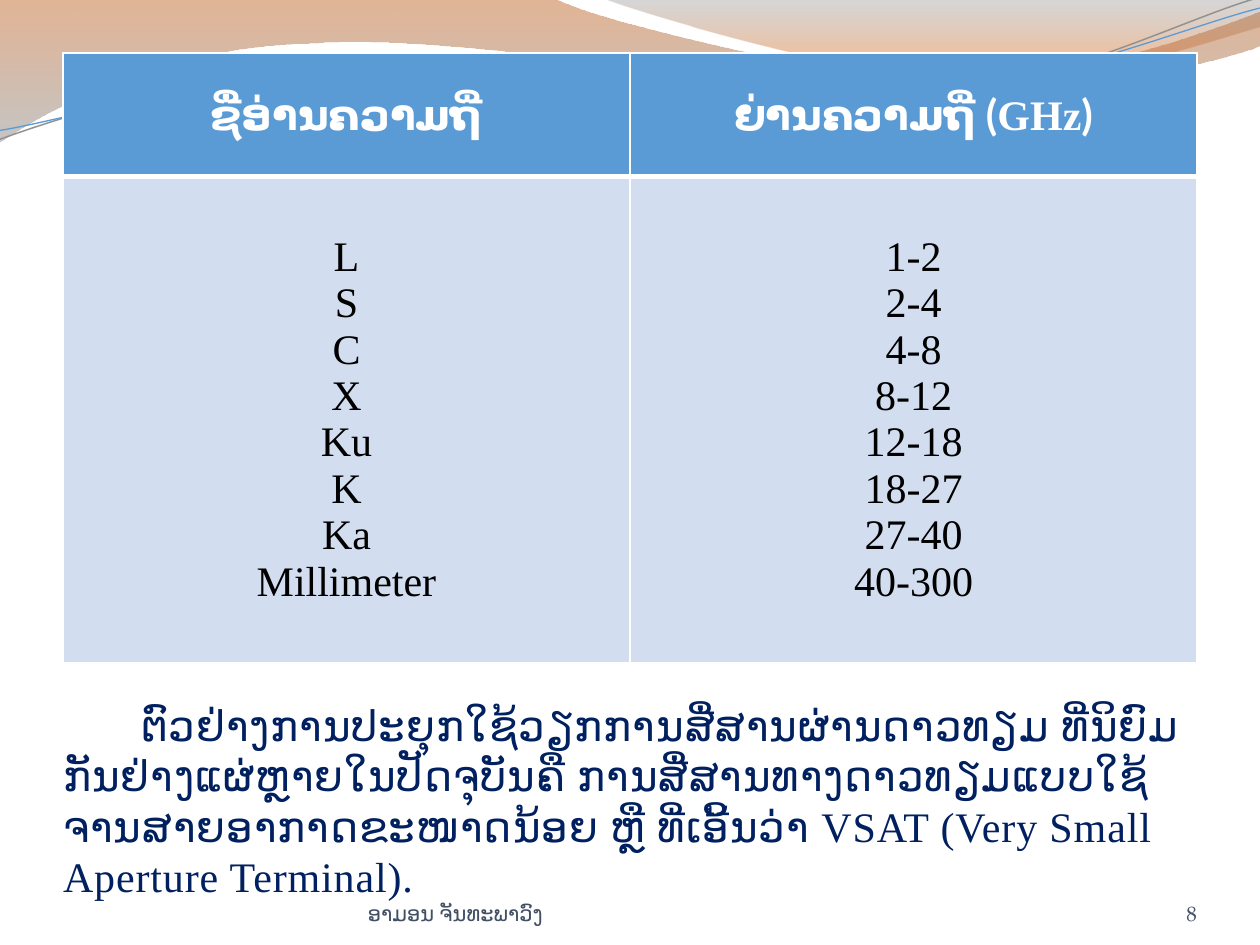
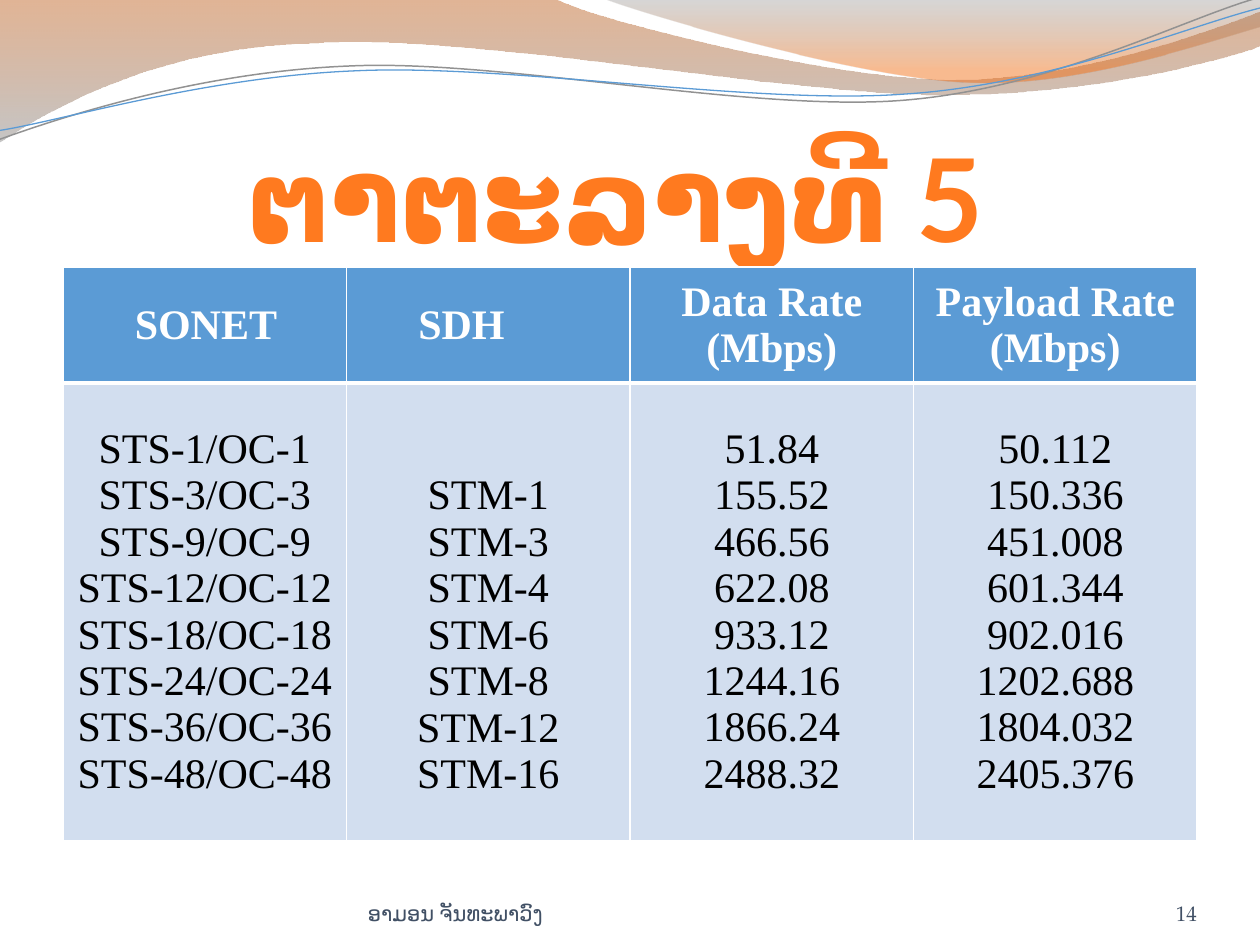
"""Builds two satellite and SONET reference slides with a shared wave banner."""
from lxml.etree import SubElement
from pptx import Presentation
from pptx.dml.color import RGBColor
from pptx.enum.text import MSO_ANCHOR as Anchor, MSO_AUTO_SIZE as AutoSize, PP_ALIGN as Align
from pptx.oxml.ns import qn
from pptx.util import Inches, Pt

COLORS = {
    "blue": "5B9BD5", "pale": "D2DEEF", "white": "FFFFFF", "black": "000000",
    "navy": "002060", "slate": "415065", "rust": "BD5A16", "silver": "969696",
    "gray": "7A7A7A", "orange": "F2680A", "wire": "929292",
    "flame": "FF7A1F", "ember": "CA5200",
}
LAO, LATIN, FOOTER = "Lato", "Times New Roman", "TeX Gyre Pagella"
AUTHOR = "ອາມອນ ຈັນທະພາວົງ"
TITLE_FLAME = [(25, "flame", 100), (100, "ember", 100)]
WIRE_TILT = 357.3

BANDS = [
    ([(0, 0), (4.4, -0.01),
      (4.76, 0.17, 6.64, 0.63, 7.58, 0.63), (8.53, 0.63, 9.58, 0.26, 10, 0.09),
      (10.01, 0.36),
      (9.83, 0.44, 8.7, 0.76, 7.46, 0.75), (6.22, 0.75, 3.82, 0.28, 2.57, 0.34),
      (1.29, 0.36, 0.46, 0.83, -0.01, 1.13)],
     [(0, "rust", 45), (100, "silver", 55)]),
    ([(4.79, -0.01),
      (5.09, 0.11, 6.82, 0.62, 7.69, 0.65), (8.56, 0.69, 9.61, 0.32, 10, 0.21),
      (10, 0)],
     [(0, "gray", 30), (80, "orange", 45)]),
]
WIRES = [
    ([(-0.02, 0.87),
      (0.47, 0.72, 1.58, 0.41, 2.78, 0.42), (3.96, 0.42, 5.91, 0.93, 7.12, 0.9),
      (8.32, 0.87, 9.4, 0.36, 10, 0.22)], "wire", 0.85),
    ([(-0.02, 0.8),
      (0.46, 0.75, 1.64, 0.45, 2.83, 0.46), (4.03, 0.46, 5.96, 0.88, 7.16, 0.85),
      (8.35, 0.83, 9.42, 0.42, 10.02, 0.3)], "blue", 0.75),
]

BAND_HEADERS = [
    [("ຊື່ອ່ານຄວາມຖີ່", LAO)],
    [("ຍ່ານຄວາມຖີ່ (", LAO), ("GHz", LATIN), (")", LAO)],
]
BAND_COLUMNS = [
    ["L", "S", "C", "X", "Ku", "K", "Ka", "Millimeter"],
    ["1-2", "2-4", "4-8", "8-12", "12-18", "18-27", "27-40", "40-300"],
]
RATE_HEADERS = [[(name, LATIN)] for name in
                ("SONET", "SDH", "Data Rate (Mbps)", "Payload Rate (Mbps)")]
RATE_COLUMNS = [
    [f"STS-{level}/OC-{level}" for level in (1, 3, 9, 12, 18, 24, 36, 48)],
    [f"STM-{level}" for level in (1, 3, 4, 6, 8, 12, 16)],
    ["51.84", "155.52", "466.56", "622.08", "933.12", "1244.16", "1866.24", "2488.32"],
    ["50.112", "150.336", "451.008", "601.344", "902.016", "1202.688", "1804.032",
     "2405.376"],
]


def rgb(name):
    """Return the named palette colour."""
    return RGBColor.from_string(COLORS[name])


class SlideWriter:
    """Holds the deck style and the current slide."""

    def __init__(self):
        """Open a deck of 10 by 7.5 inches."""
        self.deck = Presentation()
        self.deck.slide_width, self.deck.slide_height = Inches(10), Inches(7.5)
        self.layout = self.deck.slide_layouts[5]
        self.page = None

    def new_page(self, number):
        """Start a slide with its footer, and give the layout its banner once."""
        first = self.page is None
        self.page = self.deck.slides.add_slide(self.layout)
        if first:
            self.banner()
        self.footer(AUTHOR, 2.92, 3.67, Align.LEFT)
        self.footer(str(number), 8.67, 0.83, Align.RIGHT)

    def banner(self):
        """Draw the waves and hand them to the shared layout."""
        for segments, stops in BANDS:
            band = self.curve(segments, True)
            self.gradient(band.fill, stops)
        for segments, color, width in WIRES:
            wire = self.curve(segments, False)
            wire.rotation = WIRE_TILT
            wire.fill.background()
            wire.line.color.rgb = rgb(color)
            wire.line.width = Pt(width)

    def curve(self, segments, closed):
        """Draw an outline of lines and cubic curves on the layout."""
        points = [(Inches(segment[i]), Inches(segment[i + 1]))
                  for segment in segments for i in range(0, len(segment), 2)]
        builder = self.page.shapes.build_freeform(*points[0])
        builder.add_line_segments(points[1:], close=closed)
        shape = builder.convert_to_shape()
        shape.shadow.inherit = False
        shape.line.fill.background()
        steps = iter(list(shape._element.iter(qn("a:lnTo"))))
        for segment in segments[1:]:
            step = next(steps)
            if len(segment) == 6:
                step.addprevious(bend := step.makeelement(qn("a:cubicBezTo")))
                for knot in (step, next(steps), next(steps)):
                    bend.append(knot[0])
                    knot.getparent().remove(knot)
        self.layout.shapes._spTree.append(shape._element)
        return shape

    def gradient(self, fill, stops):
        """Apply a top-down gradient of (position, colour, opacity) stops."""
        fill.gradient()
        fill.gradient_angle = 270
        for stop, (position, color, opacity) in zip(fill.gradient_stops, stops):
            stop.position = position / 100
            stop.color.rgb = rgb(color)
            if opacity < 100:
                tint = stop._gs.find(qn("a:srgbClr"))
                SubElement(tint, qn("a:alpha"), val=str(opacity * 1000))

    def span(self, para, text, size, font, color=None, bold=False, spacing=0):
        """Add one formatted run."""
        span = para.add_run()
        span.text = text
        span.font.size, span.font.bold, span.font.name = Pt(size), bold, font
        if color:
            span.font.color.rgb = rgb(color)
        props = span.font._element
        SubElement(props, qn("a:cs"), typeface=font)
        if spacing:
            props.set("spc", str(int(spacing * 100)))
        return span

    def indent(self, para, inches):
        """Indent the first line of a paragraph."""
        props = para._p.get_or_add_pPr()
        props.set("marL", "0")
        props.set("indent", str(Inches(inches)))

    def frame(self, box, inset_top=0):
        """Prepare a bottom-anchored wrapping text frame."""
        frame = box.text_frame
        frame.word_wrap, frame.auto_size = True, AutoSize.NONE
        frame.vertical_anchor = Anchor.BOTTOM
        frame.margin_left = frame.margin_right = frame.margin_bottom = 0
        frame.margin_top = Inches(inset_top)
        return frame

    def title(self, left, top, width, height, align):
        """Place the title and return its paragraph."""
        box = self.page.shapes.title
        box.left, box.top = Inches(left), Inches(top)
        box.width, box.height = Inches(width), Inches(height)
        para = self.frame(box, 0.05).paragraphs[0]
        para.alignment = align
        return para

    def footer(self, text, left, width, align):
        """Add a footer text."""
        box = self.page.shapes.add_textbox(Inches(left), Inches(6.95),
                                           Inches(width), Inches(0.4))
        para = self.frame(box).paragraphs[0]
        para.alignment = align
        self.span(para, text, 12, FOOTER, "slate")

    def cell(self, cell, lines, fill, color, bold, rules):
        """Fill a cell with lines of runs and rule its left, right, top and bottom."""
        cell.margin_left = cell.margin_right = Inches(0.07)
        cell.margin_top = cell.margin_bottom = 0
        cell.vertical_anchor = Anchor.MIDDLE
        frame = cell.text_frame
        for index, runs in enumerate(lines):
            para = frame.add_paragraph() if index else frame.paragraphs[0]
            para.alignment = Align.CENTER
            for text, font in runs:
                self.span(para, text, 24, font, color, bold)
        props = cell._tc.get_or_add_tcPr()
        for side, width in zip(("lnL", "lnR", "lnT", "lnB"), rules):
            line = SubElement(props, qn(f"a:{side}"), w=str(Pt(width)))
            SubElement(SubElement(line, qn("a:solidFill")), qn("a:srgbClr"),
                       val=COLORS["white"])
        cell.fill.solid()
        cell.fill.fore_color.rgb = rgb(fill)

    def table(self, top, row_heights, headers, columns):
        """Add a table with a header row and one tall row of stacked values."""
        grid = self.page.shapes.add_table(2, len(headers), Inches(0.5), Inches(top),
                                          Inches(9), Inches(sum(row_heights))).table
        for row, height in zip(grid.rows, row_heights):
            row.height = Inches(height)
        for index, (runs, values) in enumerate(zip(headers, columns)):
            self.cell(grid.cell(0, index), [runs], "blue", "white", True, (1, 1, 1, 3))
            self.cell(grid.cell(1, index), [[(value, LATIN)] for value in values],
                      "pale", "black", False, (1, 1, 3, 1))
        return grid


def frequency_page(writer):
    """Build the frequency band slide."""
    writer.new_page(8)
    para = writer.title(0.5, 5.17, 9, 1.98, Align.LEFT)
    writer.indent(para, 0.62)
    writer.span(para, "ຕົວຢ່າງການປະຍຸກໃຊ້ວຽກການສື່ສານຜ່ານດາວທຽມ ທີ່ນິຍົມກັນຢ່າງແຜ່ຫຼາຍ"
                "ໃນປັດຈຸບັນຄື ການສື່ສານທາງດາວທຽມແບບໃຊ້ຈານສາຍອາກາດຂະໜາດນ້ອຍ ຫຼື "
                "ທີ່ເອີ້ນວ່າ ", 24, LAO, "navy", spacing=0.5)
    writer.span(para, "VSAT (Very Small Aperture Terminal).", 24, LATIN, "navy",
                spacing=0.5)
    writer.table(0.42, (0.98, 3.86), BAND_HEADERS, BAND_COLUMNS)


def rate_page(writer):
    """Build the SONET and SDH rate slide."""
    writer.new_page(14)
    para = writer.title(0.39, 0.82, 9, 1.29, Align.CENTER)
    heading = writer.span(para, "ຕາຕະລາງທີ 5", 66, LAO, bold=True, spacing=0.5)
    writer.gradient(heading.font.fill, TITLE_FLAME)
    grid = writer.table(2.12, (0.92, 3.63), RATE_HEADERS, RATE_COLUMNS)
    for column in (0, 1):
        para = grid.cell(0, column).text_frame.paragraphs[0]
        para.alignment = Align.JUSTIFY
        writer.indent(para, 0.5)
    grid.cell(1, 1).margin_top = Inches(0.37)


def main():
    """Build and save the deck."""
    writer = SlideWriter()
    frequency_page(writer)
    rate_page(writer)
    writer.deck.save("out.pptx")


if __name__ == "__main__":
    main()
